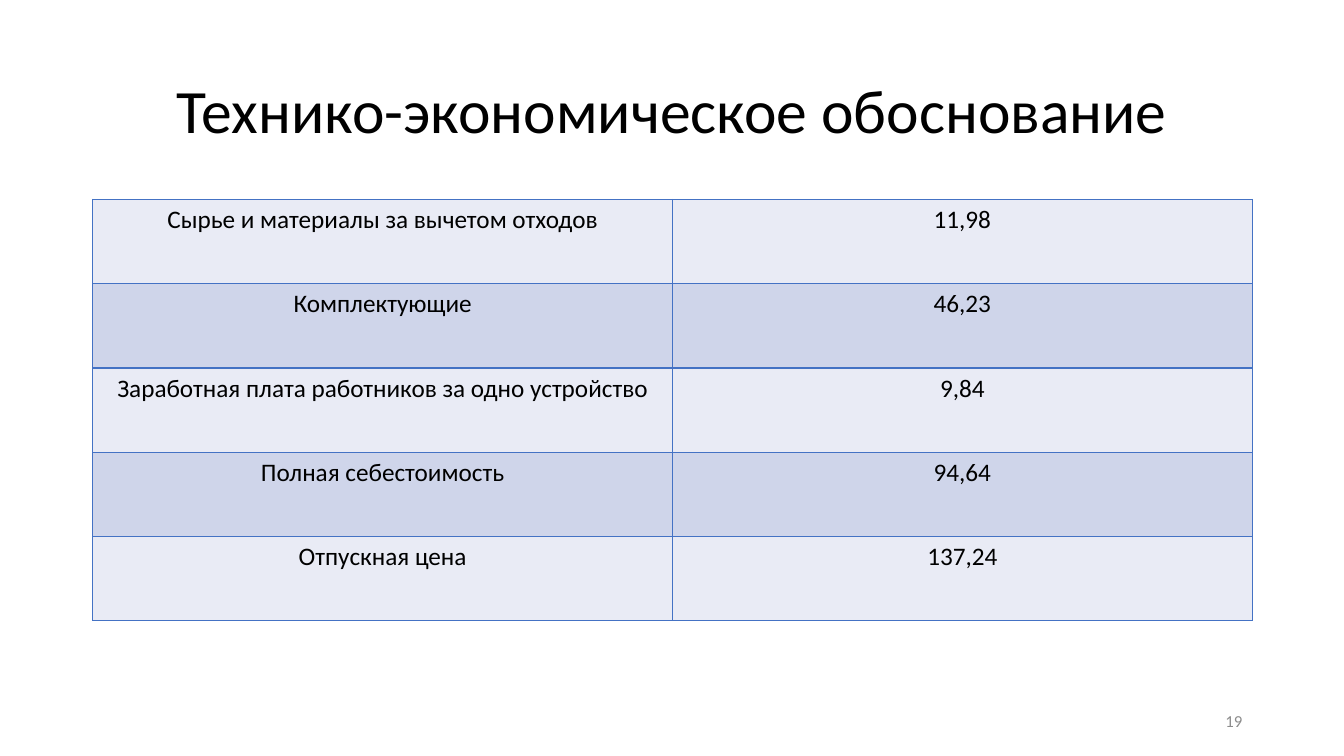
"""Build the slide with the cost table of the feasibility study."""
import lxml.etree
import pptx
import pptx.dml.color
import pptx.enum.text
import pptx.oxml.ns
import pptx.util

TITLE = "Технико-экономическое обоснование"
PAGE_NUMBER = "19"
COSTS = [
    ("Сырье и материалы за вычетом отходов", "11,98"),
    ("Комплектующие", "46,23"),
    ("Заработная плата работников за одно устройство", "9,84"),
    ("Полная себестоимость", "94,64"),
    ("Отпускная цена", "137,24"),
]
COLORS = {"text": "000000", "number": "8C8C8C", "border": "4472C4",
          "odd": "E9EBF5", "even": "CFD5EA"}
FONT = "Calibri"
SLIDE_WIDTH, SLIDE_HEIGHT = 13.33, 7.5
MARGIN = 0.92
CONTENT_WIDTH = 11.5
ROW_HEIGHT = 0.836
NUMBER_WIDTH = 3

Inches = pptx.util.Inches
ALIGN = pptx.enum.text.PP_ALIGN
ANCHOR = pptx.enum.text.MSO_ANCHOR


def rgb(name):
    return pptx.dml.color.RGBColor.from_string(COLORS[name])


def write(text_frame, text, size, color, alignment):
    text_frame.text = text
    paragraph = text_frame.paragraphs[0]
    paragraph.alignment = alignment
    font = paragraph.runs[0].font
    font.name, font.size = FONT, pptx.util.Pt(size)
    font.color.rgb = rgb(color)
    return paragraph


def add_text(slide, box, text, size, color, alignment):
    shape = slide.shapes.add_textbox(*map(Inches, box))
    shape.text_frame.word_wrap = True
    shape.text_frame.vertical_anchor = ANCHOR.MIDDLE
    return write(shape.text_frame, text, size, color, alignment)


def add_borders(cell):
    qualified = pptx.oxml.ns.qn
    properties = cell._tc.get_or_add_tcPr()
    for position, side in enumerate(("lnL", "lnR", "lnT", "lnB")):
        line = lxml.etree.Element(qualified("a:" + side), w=str(pptx.util.Pt(1)))
        fill = lxml.etree.SubElement(line, qualified("a:solidFill"))
        lxml.etree.SubElement(fill, qualified("a:srgbClr"), val=COLORS["border"])
        properties.insert(position, line)


def add_cost_table(slide):
    box = (MARGIN, 1.98, CONTENT_WIDTH, ROW_HEIGHT * len(COSTS))
    table = slide.shapes.add_table(len(COSTS), 2, *map(Inches, box)).table
    table.first_row = False
    for row, values in enumerate(COSTS):
        for column, value in enumerate(values):
            cell = table.cell(row, column)
            write(cell.text_frame, value, 18, "text", ALIGN.CENTER)
            cell.fill.solid()
            cell.fill.fore_color.rgb = rgb("even" if row % 2 else "odd")
            add_borders(cell)


def main():
    presentation = pptx.Presentation()
    presentation.slide_width = Inches(SLIDE_WIDTH)
    presentation.slide_height = Inches(SLIDE_HEIGHT)
    slide = presentation.slides.add_slide(presentation.slide_layouts[6])
    title = add_text(slide, (MARGIN, 0.4, CONTENT_WIDTH, 1.45),
                     TITLE, 44, "text", ALIGN.CENTER)
    title.line_spacing = 0.9
    add_cost_table(slide)
    number_left = MARGIN + CONTENT_WIDTH - NUMBER_WIDTH
    add_text(slide, (number_left, 6.95, NUMBER_WIDTH, 0.4),
             PAGE_NUMBER, 12, "number", ALIGN.RIGHT)
    presentation.save("out.pptx")


if __name__ == "__main__":
    main()
